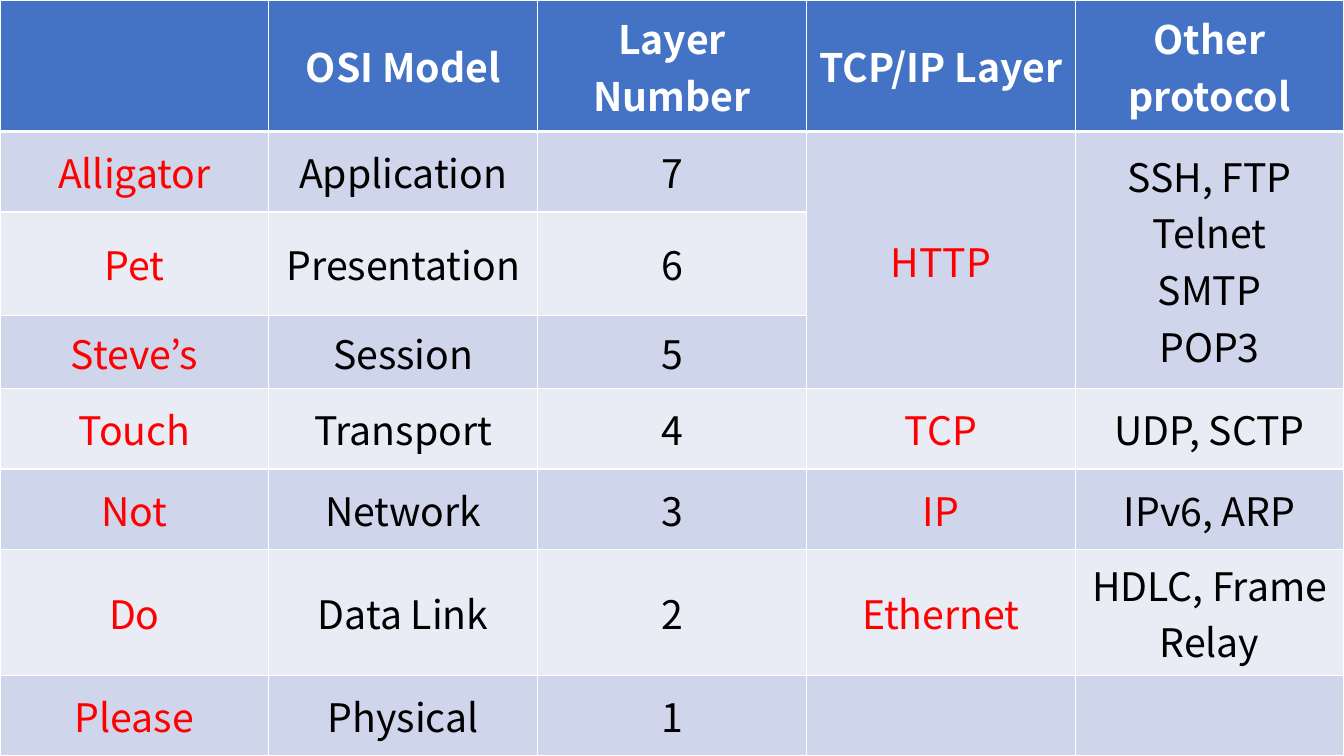
"""Build a slide with a table of the OSI layers and their protocols."""
from lxml.etree import SubElement
from pptx import Presentation
from pptx.dml.color import RGBColor
from pptx.enum.text import MSO_ANCHOR as Anchor, PP_ALIGN as Align
from pptx.oxml.ns import qn
from pptx.util import Pt

WHITE = RGBColor(0xFF, 0xFF, 0xFF)
BLACK = RGBColor(0, 0, 0)
RED = RGBColor(0xFF, 0, 0)
BLUE = RGBColor(0x44, 0x72, 0xC4)
BAND_DARK = RGBColor(0xCF, 0xD5, 0xEA)
BAND_LIGHT = RGBColor(0xE9, 0xEB, 0xF5)

FONT = "Noto Sans CJK KR"
WIDTH, HEIGHT = 960, 540
HEADERS = ("", "OSI Model", "Layer Number", "TCP/IP Layer", "Other protocol")
LAYERS = [
    ("Alligator", "Application", "7", "HTTP", "SSH, FTP\nTelnet\nSMTP\nPOP3"),
    ("Pet", "Presentation", "6", "", ""),
    ("Steve’s", "Session", "5", "", ""),
    ("Touch", "Transport", "4", "TCP", "UDP, SCTP"),
    ("Not", "Network", "3", "IP", "IPv6, ARP"),
    ("Do", "Data Link", "2", "Ethernet", "HDLC, Frame Relay"),
    ("Please", "Physical", "1", "", ""),
]
ROW_HEIGHTS = (94, 57.5, 74, 52, 57.5, 57.5, 90, 57.5)
RED_COLUMNS = (0, 3)
MERGED_COLUMNS = (3, 4)
MERGED_ROWS = (1, 3)


def write_text(cell, text, color=BLACK, bold=False, size=28):
    cell.text = text
    cell.vertical_anchor = Anchor.MIDDLE
    for paragraph in cell.text_frame.paragraphs:
        paragraph.alignment = Align.CENTER
        font = paragraph.font
        for run in paragraph.runs:
            font = run.font
        font.name, font.size, font.bold = FONT, Pt(size), bold
        font.color.rgb = color


def style_cell(cell, fill, top=1, bottom=1):
    properties = cell._tc.get_or_add_tcPr()
    for side, width in (("L", 1), ("R", 1), ("T", top), ("B", bottom)):
        line = SubElement(properties, qn(f"a:ln{side}"), w=str(Pt(width)))
        solid = SubElement(line, qn("a:solidFill"))
        SubElement(solid, qn("a:srgbClr"), val=str(WHITE))
    cell.fill.solid()
    cell.fill.fore_color.rgb = fill


presentation = Presentation()
presentation.slide_width, presentation.slide_height = Pt(WIDTH), Pt(HEIGHT)
slide = presentation.slides.add_slide(presentation.slide_layouts[6])
rows = [HEADERS, *LAYERS]
table = slide.shapes.add_table(
    len(rows), len(HEADERS), Pt(0), Pt(0), Pt(WIDTH), Pt(HEIGHT)).table

for column in table.columns:
    column.width = Pt(WIDTH / len(HEADERS))
for row, height in zip(table.rows, ROW_HEIGHTS):
    row.height = Pt(height)

for row_index, texts in enumerate(rows):
    for column_index, text in enumerate(texts):
        cell = table.cell(row_index, column_index)
        if row_index == 0:
            write_text(cell, text, color=WHITE, bold=True)
            style_cell(cell, BLUE, bottom=3)
        else:
            write_text(cell, text, color=RED if column_index in RED_COLUMNS else BLACK)
            style_cell(cell, BAND_DARK if row_index % 2 else BAND_LIGHT,
                       top=3 if row_index == 1 else 1)

first, last = MERGED_ROWS
for column_index in MERGED_COLUMNS:
    table.cell(first, column_index).merge(table.cell(last, column_index))

presentation.save("out.pptx")
